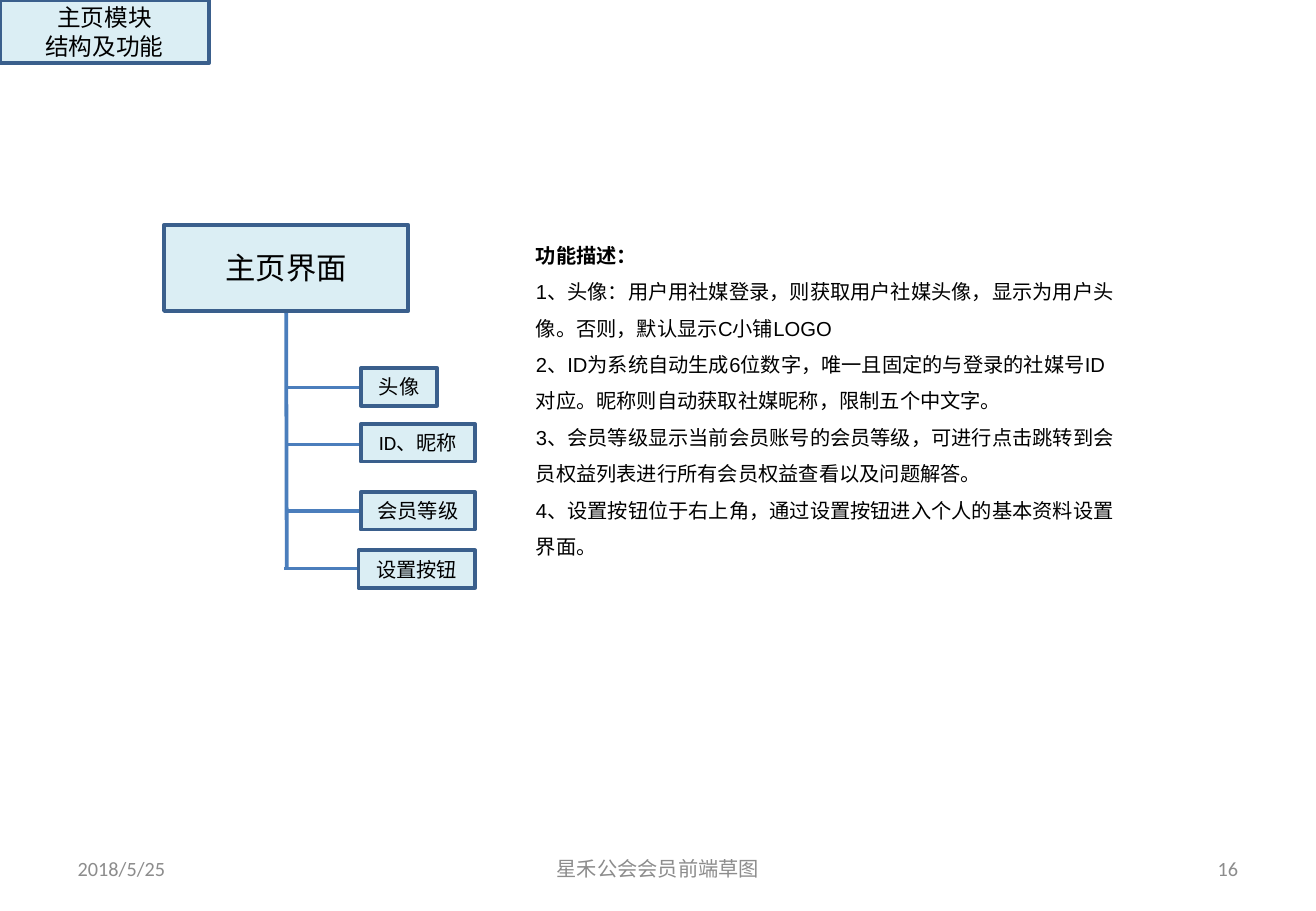
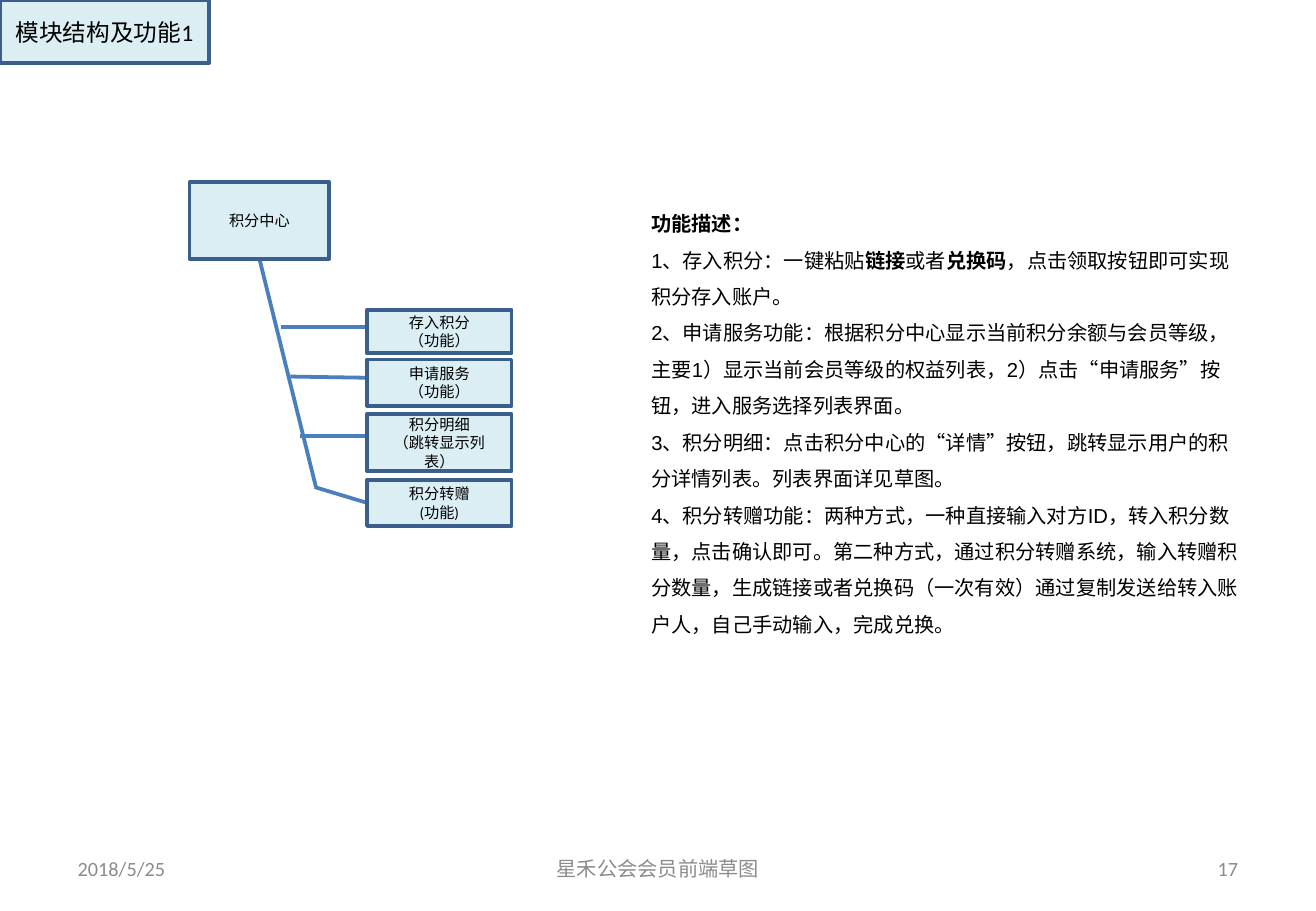
from copy import deepcopy

from lxml.etree import SubElement
from pptx import Presentation
from pptx.dml.color import RGBColor
from pptx.enum.shapes import MSO_CONNECTOR as Connector, MSO_SHAPE as Preset
from pptx.enum.shapes import PP_PLACEHOLDER as Role
from pptx.enum.text import MSO_ANCHOR as Anchor, MSO_AUTO_SIZE as AutoSize, PP_ALIGN as Align
from pptx.oxml.ns import qn
from pptx.util import Inches, Pt

PALE, BORDER, BRANCH, INK, GREY = "DBEEF4", "3A5F8C", "4B7EBC", "000000", "8C8C8C"
TAG_AT = (0, 0, 1.72, 0.52)
FOOTERS = {
    Role.DATE: ((0.54, 6.95, 2.53, 0.4), Align.LEFT, "2018/5/25"),
    Role.FOOTER: ((3.7, 6.95, 3.43, 0.4), Align.CENTER, "星禾公会会员前端草图"),
    Role.SLIDE_NUMBER: ((7.76, 6.95, 2.53, 0.4), Align.RIGHT, "{number}"),
}

MODULES = [
    {
        "number": 16,
        "tag": "主页模块\n结构及功能",
        "root": ("主页界面", (1.35, 1.85, 2.01, 0.71), 18),
        "trunk_end": (2.36, 4.68),
        "leaf_size": 12,
        "leaves": [
            ("头像", (2.97, 3.03, 0.63, 0.31), (2.36, 3.19), 3.19),
            ("ID、昵称", (2.97, 3.49, 0.94, 0.31), (2.36, 3.66), 3.66),
            ("会员等级", (2.97, 4.05, 0.94, 0.31), (2.36, 4.21), 4.21),
            ("设置按钮", (2.95, 4.53, 0.96, 0.31), (2.34, 4.68), 4.68),
        ],
        "notes_at": (4.31, 1.85, 5.04, 2.83),
        "heading_spacing": 1.5,
        "notes": [
            "1、头像：用户用社媒登录，则获取用户社媒头像，显示为用户头像。否则，默认显示C小铺LOGO",
            "2、ID为系统自动生成6位数字，唯一且固定的与登录的社媒号ID对应。昵称则自动获取社媒昵称，限制五个中文字。",
            "3、会员等级显示当前会员账号的会员等级，可进行点击跳转到会员权益列表进行所有会员权益查看以及问题解答。",
            "4、设置按钮位于右上角，通过设置按钮进入个人的基本资料设置界面。",
        ],
    },
    {
        "number": 17,
        "tag": "模块结构及功能1",
        "root": ("积分中心", (1.56, 1.5, 1.15, 0.63), 9),
        "trunk_end": (2.6, 4.01),
        "leaf_size": 9,
        "leaves": [
            ("存入积分\n（功能）", (3.02, 2.55, 1.19, 0.36), (2.31, 2.69), 2.69),
            ("申请服务\n（功能）", (3.02, 2.96, 1.19, 0.38), (2.39, 3.1), 3.11),
            ("积分明细\n（跳转显示列表）", (3.02, 3.41, 1.19, 0.47), (2.47, 3.59), 3.59),
            ("积分转赠\n(功能)", (3.02, 3.95, 1.19, 0.38), (2.59, 4.01), 4.14),
        ],
        "notes_at": (5.26, 1.69, 5.04, 3.64),
        "heading_spacing": 1.0,
        "notes": [
            "1、存入积分：一键粘贴**链接**或者**兑换码**，点击领取按钮即可实现积分存入账户。",
            "2、申请服务功能：根据积分中心显示当前积分余额与会员等级，主要1）显示当前会员等级的权益列表，"
            "2）点击“申请服务”按钮，进入服务选择列表界面。",
            "3、积分明细：点击积分中心的“详情”按钮，跳转显示用户的积分详情列表。列表界面详见草图。",
            "4、积分转赠功能：两种方式，一种直接输入对方ID，转入积分数量，点击确认即可。第二种方式，"
            "通过积分转赠系统，输入转赠积分数量，生成链接或者兑换码（一次有效）通过复制发送给转入账户人，"
            "自己手动输入，完成兑换。",
        ],
    },
]


def color(hex_code):
    return RGBColor.from_string(hex_code)


def apply(target, values):
    for attribute, value in values.items():
        setattr(target, attribute, value)


def place(element, at):
    apply(element, dict(zip(("left", "top", "width", "height"), map(Inches, at))))


class ModuleDeck:
    """Hold the shared style and the slide being built."""

    def __init__(self):
        self.deck = Presentation()
        apply(self.deck, {"slide_width": Inches(10.83), "slide_height": Inches(7.5)})
        self.layout = self.deck.slide_layouts[1]
        self.slide = None

    def start(self, number):
        self.slide = self.deck.slides.add_slide(self.layout)
        for source in self.layout.placeholders:
            if source.placeholder_format.type in FOOTERS:
                self.slide.shapes.element.append(deepcopy(source.element))
        for footer in self.slide.placeholders:
            if footer.placeholder_format.type in FOOTERS:
                at, align, text = FOOTERS[footer.placeholder_format.type]
                place(footer, at)
                self.label(footer, text.format(number=number), 12, GREY, align)

    def label(self, holder, text, size, ink=INK, align=Align.CENTER):
        frame = holder.text_frame
        frame.text = text
        apply(frame, {"word_wrap": True, "vertical_anchor": Anchor.MIDDLE, "auto_size": AutoSize.NONE})
        for paragraph in frame.paragraphs:
            paragraph.alignment = align
            for run in paragraph.runs:
                self.style(run, size, "Calibri", ink)

    def style(self, run, size, font, ink=INK, bold=False):
        apply(run.font, {"size": Pt(size), "name": font, "bold": bold})
        run.font.color.rgb = color(ink)

    def frame_box(self, box):
        box.fill.solid()
        box.fill.fore_color.rgb = color(PALE)
        box.line.color.rgb = color(BORDER)
        box.line.width = Pt(2.25)

    def tag(self, text):
        title = self.slide.shapes.title
        place(title, TAG_AT)
        self.frame_box(title)
        self.label(title, text, 14)

    def box(self, text, at, size):
        node = self.slide.shapes.add_shape(Preset.RECTANGLE, *map(Inches, at))
        node.shadow.inherit = False
        self.frame_box(node)
        self.label(node, text, size)

    def branch(self, start, end):
        link = self.slide.shapes.add_connector(Connector.STRAIGHT, *map(Inches, (*start, *end)))
        link.line.color.rgb = color(BRANCH)
        link.line.width = Pt(2.25)
        SubElement(link.element.spPr, qn("a:effectLst"))

    def tree(self, root, trunk_end, leaves, leaf_size):
        left, top, width, height = root[1]
        self.branch((left + width / 2, top + height), trunk_end)
        for _, at, fork, end_y in leaves:
            self.branch(fork, (at[0], end_y))
        self.box(*root)
        for text, at, *_ in leaves:
            self.box(text, at, leaf_size)

    def description(self, notes, at, heading_spacing):
        body = self.slide.placeholders[1]
        place(body, at)
        frame = body.text_frame
        apply(frame, {"word_wrap": True, "vertical_anchor": Anchor.TOP, "auto_size": AutoSize.NONE})
        for index, note in enumerate(["**功能描述：**", *notes]):
            paragraph = frame.add_paragraph() if index else frame.paragraphs[0]
            apply(paragraph, {
                "line_spacing": 1.5 if index else heading_spacing,
                "space_before": Pt(0),
                "alignment": Align.LEFT,
            })
            properties = paragraph._p.get_or_add_pPr()
            for indent in ("marL", "indent"):
                properties.set(indent, "0")
            SubElement(properties, qn("a:buNone"))
            for part, words in enumerate(note.split("**")):
                if words:
                    run = paragraph.add_run()
                    run.text = words
                    self.style(run, 12, "Arial", bold=part % 2 == 1)


def main():
    modules = ModuleDeck()
    for module in MODULES:
        modules.start(module["number"])
        modules.tag(module["tag"])
        modules.tree(module["root"], module["trunk_end"], module["leaves"], module["leaf_size"])
        modules.description(module["notes"], module["notes_at"], module["heading_spacing"])
    modules.deck.save("out.pptx")


if __name__ == "__main__":
    main()
